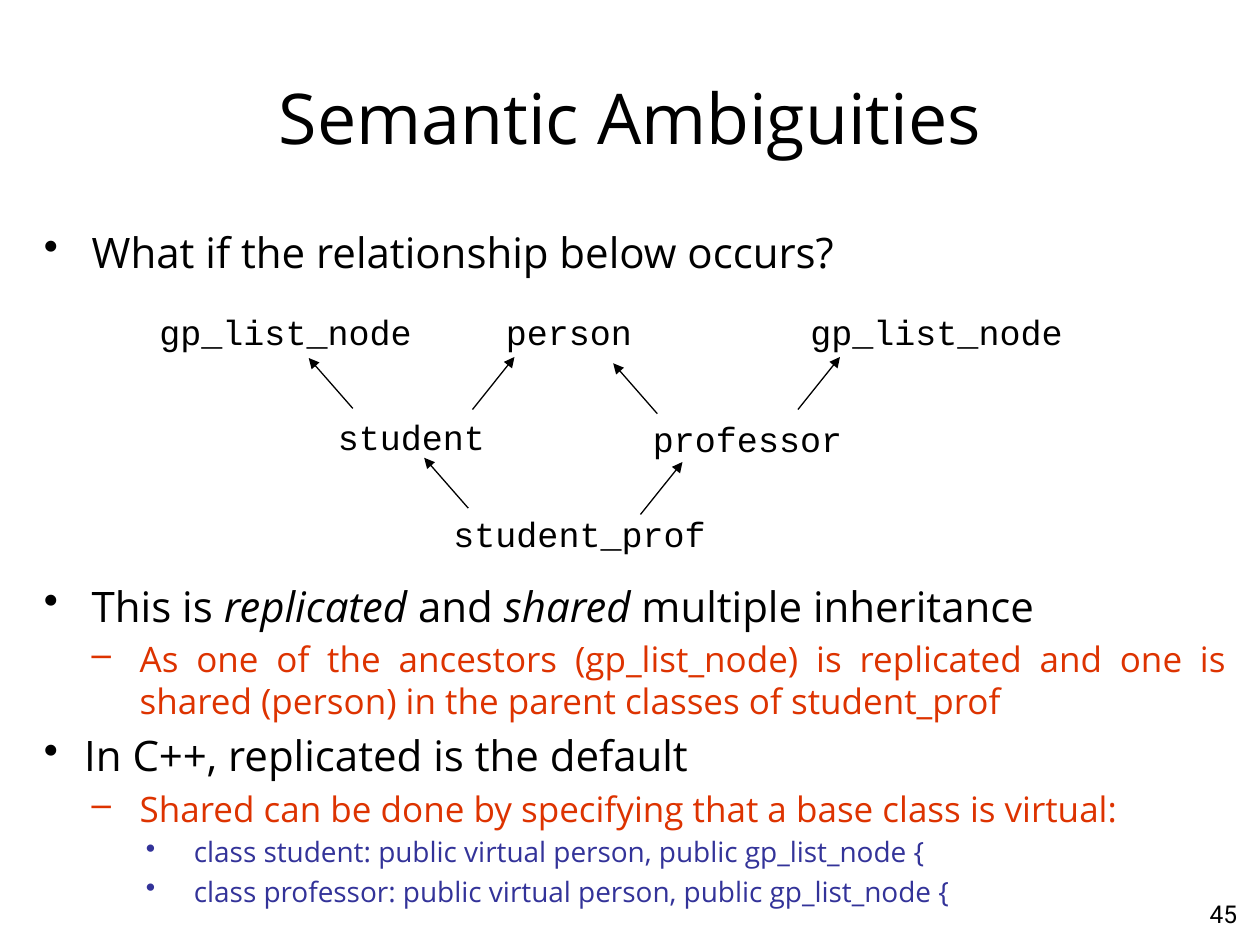
from pptx import Presentation, util as u
from pptx.dml.color import RGBColor
from pptx.enum import shapes, text
from pptx.oxml.ns import qn
from lxml import etree

COLS, ROWS = 120, 90
BLACK, RED, BLUE = "000000", "DD3300", "333399"
SANS, MONO, NUMBER = "Open Sans", "Courier New", "Roboto"


def rgb(value):
    return RGBColor.from_string(value)


class Deck:
    levels = [
        dict(size=24, color=BLACK, mark="•", margin=0.38, indent=0.38),
        dict(size=20, color=RED, mark="–", margin=0.76, indent=0.38),
        dict(size=16, color=BLUE, mark="•", margin=1.19, indent=0.38),
    ]

    def __init__(self):
        self.prs = Presentation()
        self.prs.slide_width, self.prs.slide_height = u.Inches(10), u.Inches(7.5)
        self.s = self.prs.slides.add_slide(self.prs.slide_layouts[5])

    def x(self, col):
        return round(self.prs.slide_width * col / COLS)

    def y(self, row):
        return round(self.prs.slide_height * row / ROWS)

    def run(self, p, words, size, font=SANS, color=BLACK, italic=False):
        r = p.add_run()
        r.text = words
        r.font.size, r.font.name, r.font.italic = u.Pt(size), font, italic
        r.font.color.rgb = rgb(color)

    def title(self, words, col, row, width, height):
        sp = self.s.shapes.title
        sp.left, sp.top = self.x(col), self.y(row)
        sp.width, sp.height = self.x(width), self.y(height)
        tf = sp.text_frame
        tf.vertical_anchor = text.MSO_ANCHOR.MIDDLE
        p = tf.paragraphs[0]
        p.alignment = text.PP_ALIGN.CENTER
        self.run(p, words, 40)

    def box(self, col, row, width, height):
        sp = self.s.shapes.add_textbox(self.x(col), self.y(row), self.x(width), self.y(height))
        sp.text_frame.word_wrap = True
        return sp.text_frame

    def label(self, words, col, row, width, height=4.8, size=20, font=MONO,
              align=text.PP_ALIGN.LEFT):
        p = self.box(col, row, width, height).paragraphs[0]
        p.alignment = align
        self.run(p, words, size, font)

    def bullets(self, items, col, row, width, height):
        tf = self.box(col, row, width, height)
        for i, (level, parts, changes) in enumerate(items):
            style = {**self.levels[level], **changes}
            p = tf.paragraphs[0] if i == 0 else tf.add_paragraph()
            p.level, p.alignment = level, text.PP_ALIGN.JUSTIFY
            p.space_before = u.Pt(style["size"] * 0.2)
            pPr = p._p.get_or_add_pPr()
            pPr.set("marL", str(u.Inches(style["margin"])))
            pPr.set("indent", str(-u.Inches(style["indent"])))
            etree.SubElement(pPr, qn("a:buChar")).set("char", style["mark"])
            for n, words in enumerate(parts):
                self.run(p, words, style["size"], color=style["color"], italic=n % 2 == 1)

    def arrow(self, col, row, across, up):
        line = self.s.shapes.add_connector(
            shapes.MSO_CONNECTOR.STRAIGHT, self.x(col), self.y(row),
            self.x(col + across), self.y(row - up))
        line.line.color.rgb = rgb(BLACK)
        line.line.width = u.Pt(0.75)
        etree.SubElement(line.line._get_or_add_ln(), qn("a:tailEnd")).set("type", "triangle")
        etree.SubElement(line._element.spPr, qn("a:effectLst"))


deck = Deck()
deck.label("45", 94, 85, 25, 4.4, 14, NUMBER, text.PP_ALIGN.RIGHT)
deck.title("Semantic Ambiguities", 6, 3.6, 108, 15)

deck.bullets([(0, ["What if the relationship below occurs?"], {})], 3, 21, 115, 6)
deck.bullets([
    (0, ["This is ", "replicated", " and ", "shared", " multiple inheritance"], {}),
    (1, ["As one of the ancestors (gp_list_node) is replicated and one is shared "
         "(person) in the parent classes of student_prof"], {}),
    (0, ["In C++, replicated is the default"], dict(margin=0.32, indent=0.32)),
    (1, ["Shared can be done by specifying that a base class is virtual:"], {}),
    *[(2, [f"class {name}: public virtual person, public gp_list_node {{"], {})
      for name in ("student", "professor")],
], 3, 54.65, 115, 32)

for name, col, row, width in [
    ("gp_list_node", 14, 29, 27),
    ("person", 47, 29, 15),
    ("gp_list_node", 76, 29, 29),
    ("student", 31, 39, 19),
    ("professor", 61, 39.2, 22),
    ("student_prof", 42, 48.2, 28),
]:
    deck.label(name, col, row, width)

for col, row in [(45, 39), (76, 39), (61, 49)]:
    deck.arrow(col, row, 4, 5)
for col, row in [(33.6, 38.9), (62.6, 39.4), (44.6, 48.4)]:
    deck.arrow(col, row, -4.2, 4.8)

deck.prs.save("out.pptx")
